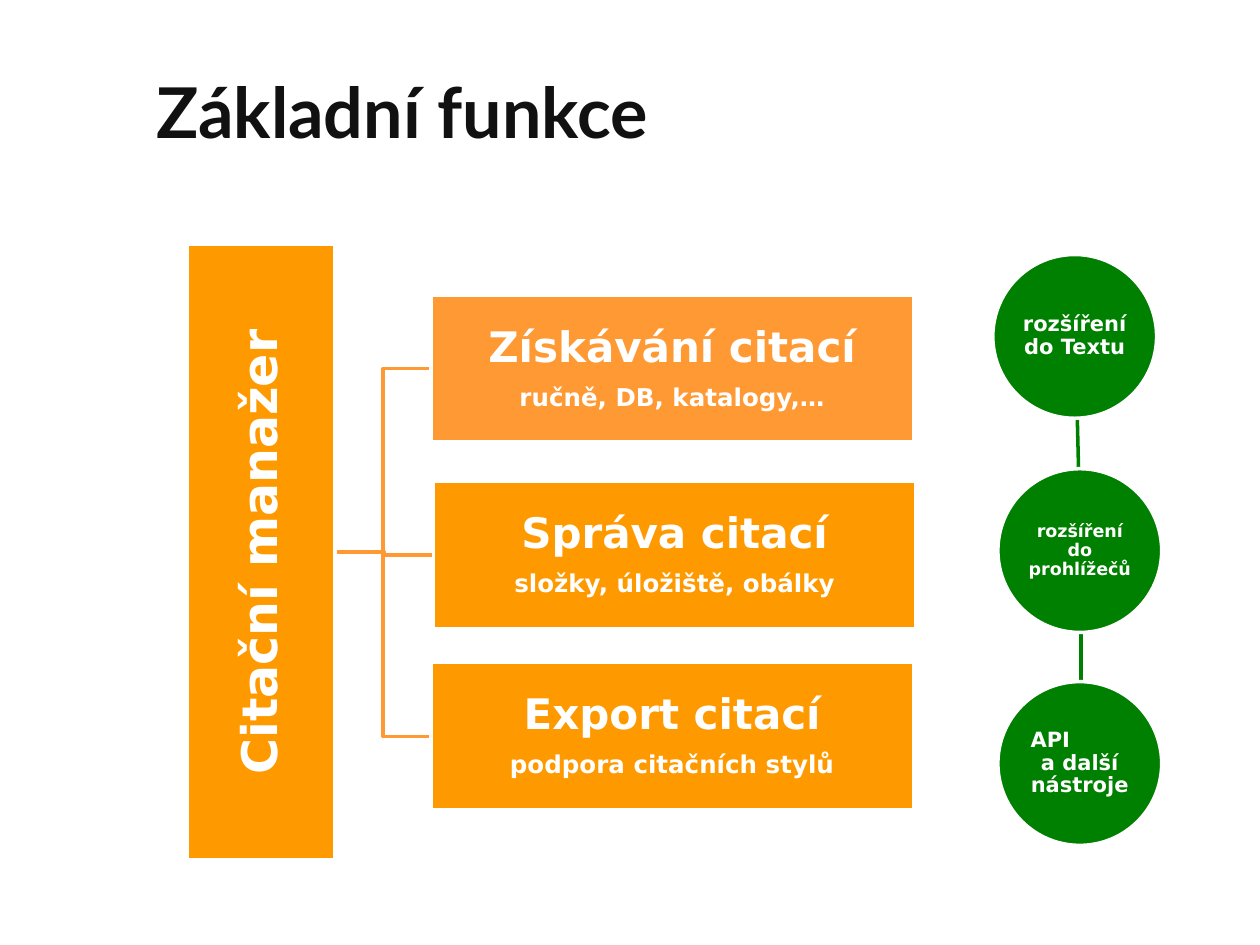
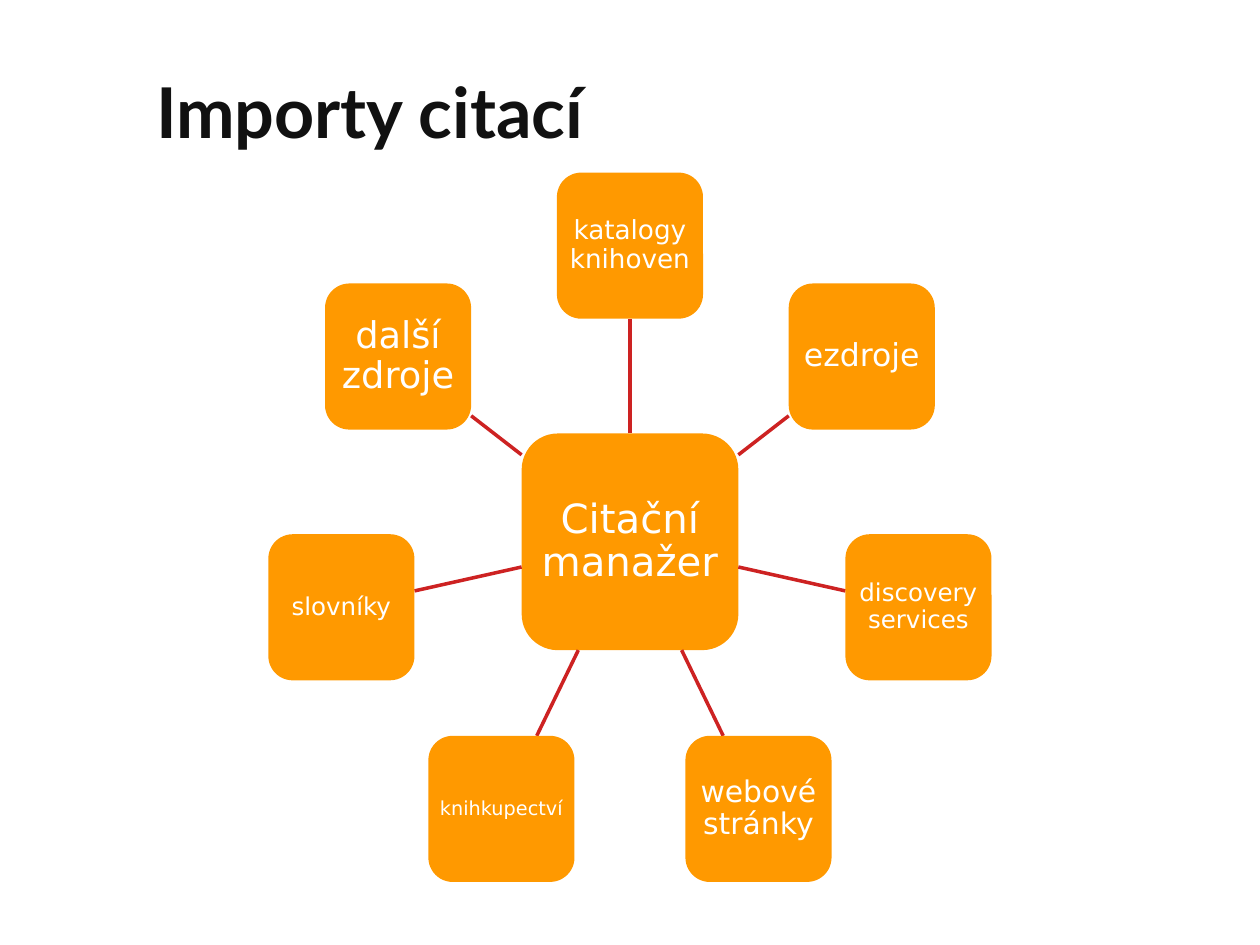
from dataclasses import dataclass
from math import cos, pi, sin

from lxml.etree import SubElement
from pptx import Presentation
from pptx.dml.color import RGBColor
from pptx.enum.shapes import MSO_CONNECTOR as Route, MSO_SHAPE as Preset
from pptx.enum.text import MSO_ANCHOR as Anchor, PP_ALIGN as Align
from pptx.oxml.ns import qn
from pptx.shapes.autoshape import Shape
from pptx.shapes.connector import Connector
from pptx.slide import Slide
from pptx.util import Pt

EMU_PER_PX = 9144
ORANGE = RGBColor(0xFF, 0x99, 0x00)
LIGHT_ORANGE = RGBColor(0xFF, 0x99, 0x33)
GREEN = RGBColor(0x00, 0x80, 0x00)
RED = RGBColor(0xCD, 0x22, 0x22)
WHITE = RGBColor(0xFF, 0xFF, 0xFF)
INK = RGBColor(0x11, 0x11, 0x11)
TITLE_FONT = "Lato"
BODY_FONT = "DejaVu Sans"
LINE_WIDTH = Pt(2)
HUB_X, HUB_Y, HUB_SIZE = 500, 430, 172
SOURCE_SIZE, RING_RADIUS = 116, 235
API_INDENT = 6


@dataclass(frozen=True)
class TextLine:
    text: str
    size: int


@dataclass(frozen=True)
class Block:
    left: int
    top: int
    width: int
    height: int
    lines: tuple[TextLine, ...]
    fill: RGBColor = ORANGE
    preset: Preset = Preset.RECTANGLE
    inset: int = 2
    bold: bool = True
    outline: RGBColor | None = WHITE
    line_gap: float = 0.33

    @property
    def middle(self) -> int:
        return self.top + self.height // 2


def px(length: float) -> int:
    return round(length) * EMU_PER_PX


def function_box(left: int, top: int, heading: str, detail: str, fill: RGBColor = ORANGE) -> Block:
    return Block(left, top, 383, 117, (TextLine(heading, 24), TextLine(detail, 14)), fill)


def extension_circle(left: int, top: int, size: int, *texts: str) -> Block:
    lines = tuple(TextLine(text, size) for text in texts)
    return Block(left, top, 130, 130, lines, GREEN, Preset.OVAL, 1, line_gap=0)


def source_tile(center_x: float, center_y: float, side: int, line: TextLine) -> Block:
    left, top = round(center_x - side / 2), round(center_y - side / 2)
    return Block(left, top, side, side, (line,), preset=Preset.ROUNDED_RECTANGLE,
                 inset=round(0.27 * line.size), bold=False, outline=None)


MANAGER_BAR = Block(149, 194, 117, 488, (TextLine("Citační manažer", 28),))
FUNCTIONS = (
    function_box(342, 234, "Získávání citací", "ručně, DB, katalogy,…", LIGHT_ORANGE),
    function_box(344, 382, "Správa citací", "složky, úložiště, obálky"),
    function_box(342, 526, "Export citací", "podpora citačních stylů"),
)
EXTENSIONS = (
    extension_circle(788, 202, 12, "rozšíření do Textu"),
    extension_circle(792, 372, 10, "rozšíření do prohlížečů"),
    extension_circle(792, 541, 12, "API", "a další nástroje"),
)
EXTENSION_LINKS = ((855, 332, 856, 372), (858, 502, 858, 541))
SOURCES = (
    TextLine("katalogy knihoven", 15),
    TextLine("ezdroje", 18),
    TextLine("discovery services", 14),
    TextLine("webové stránky", 17),
    TextLine("knihkupectví", 11),
    TextLine("slovníky", 14),
    TextLine("další zdroje", 21),
)


def draw_title(slide: Slide, text: str) -> None:
    title = slide.shapes.add_textbox(px(114), px(60), px(851), px(56))
    frame = title.text_frame
    frame.word_wrap = True
    frame.vertical_anchor = Anchor.MIDDLE
    frame.text = text
    font = frame.paragraphs[0].runs[0].font
    font.name, font.size, font.bold = TITLE_FONT, Pt(40), True
    font.color.rgb = INK


def draw_block(slide: Slide, block: Block) -> Shape:
    shape = slide.shapes.add_shape(
        block.preset, px(block.left), px(block.top), px(block.width), px(block.height))
    shape.shadow.inherit = False
    shape.fill.solid()
    shape.fill.fore_color.rgb = block.fill
    if block.outline is None:
        shape.line.fill.background()
    else:
        shape.line.color.rgb = block.outline
        shape.line.width = LINE_WIDTH
    frame = shape.text_frame
    frame.word_wrap = True
    frame.vertical_anchor = Anchor.MIDDLE
    frame.margin_left = frame.margin_right = px(block.inset)
    frame.margin_top = frame.margin_bottom = px(block.inset)
    frame.text = "\n".join(line.text for line in block.lines)
    for paragraph, line in zip(frame.paragraphs, block.lines):
        paragraph.alignment = Align.CENTER
        paragraph.line_spacing = 0.9
        if line is not block.lines[-1]:
            paragraph.space_after = Pt(block.line_gap * line.size)
        font = paragraph.runs[0].font
        font.name, font.size, font.bold = BODY_FONT, Pt(line.size), block.bold
        font.color.rgb = WHITE
    return shape


def draw_line(slide: Slide, start: tuple[float, float], end: tuple[float, float],
              color: RGBColor, route: Route = Route.STRAIGHT) -> Connector:
    connector = slide.shapes.add_connector(
        route, px(start[0]), px(start[1]), px(end[0]), px(end[1]))
    connector.line.color.rgb = color
    connector.line.width = LINE_WIDTH
    SubElement(connector._element.spPr, qn("a:effectLst"))
    return connector


def draw_functions(slide: Slide) -> None:
    draw_title(slide, "Základní funkce")
    bar_side = (MANAGER_BAR.left + MANAGER_BAR.width, MANAGER_BAR.middle)
    branches = [draw_line(slide, bar_side, (box.left, box.middle), LIGHT_ORANGE, Route.ELBOW)
                for box in FUNCTIONS]
    bar = draw_block(slide, MANAGER_BAR)
    bar.text_frame._txBody.bodyPr.set("vert", "vert270")
    for branch, box in zip(branches, FUNCTIONS):
        branch.begin_connect(bar, 3)
        branch.end_connect(draw_block(slide, box), 1)

    for x1, y1, x2, y2 in EXTENSION_LINKS:
        draw_line(slide, (x1, y1), (x2, y2), GREEN)
    circles = [draw_block(slide, circle) for circle in EXTENSIONS]
    api = circles[-1].text_frame.paragraphs[0]
    api.alignment = Align.LEFT
    api._p.get_or_add_pPr().set("marL", str(px(API_INDENT)))


def draw_imports(slide: Slide) -> None:
    draw_title(slide, "Importy citací")
    hub = draw_block(slide, source_tile(HUB_X, HUB_Y, HUB_SIZE, TextLine("Citační manažer", 23)))
    for index, source in enumerate(SOURCES):
        angle = 2 * pi * index / len(SOURCES)
        across, down = sin(angle), -cos(angle)
        reach = max(abs(across), abs(down))
        near = HUB_SIZE / 2 / reach
        far = RING_RADIUS - SOURCE_SIZE / 2 / reach
        start, end = ((HUB_X + across * distance, HUB_Y + down * distance)
                      for distance in (near, far))
        spoke = draw_line(slide, start, end, RED)
        tile = draw_block(slide, source_tile(
            HUB_X + across * RING_RADIUS, HUB_Y + down * RING_RADIUS, SOURCE_SIZE, source))
        if index == 0:
            spoke.begin_connect(hub, 0)
            spoke.end_connect(tile, 2)


def main() -> None:
    presentation = Presentation()
    presentation.slide_width, presentation.slide_height = px(1000), px(750)
    blank = presentation.slide_layouts[6]
    for draw_slide in (draw_functions, draw_imports):
        draw_slide(presentation.slides.add_slide(blank))
    presentation.save("out.pptx")


if __name__ == "__main__":
    main()
